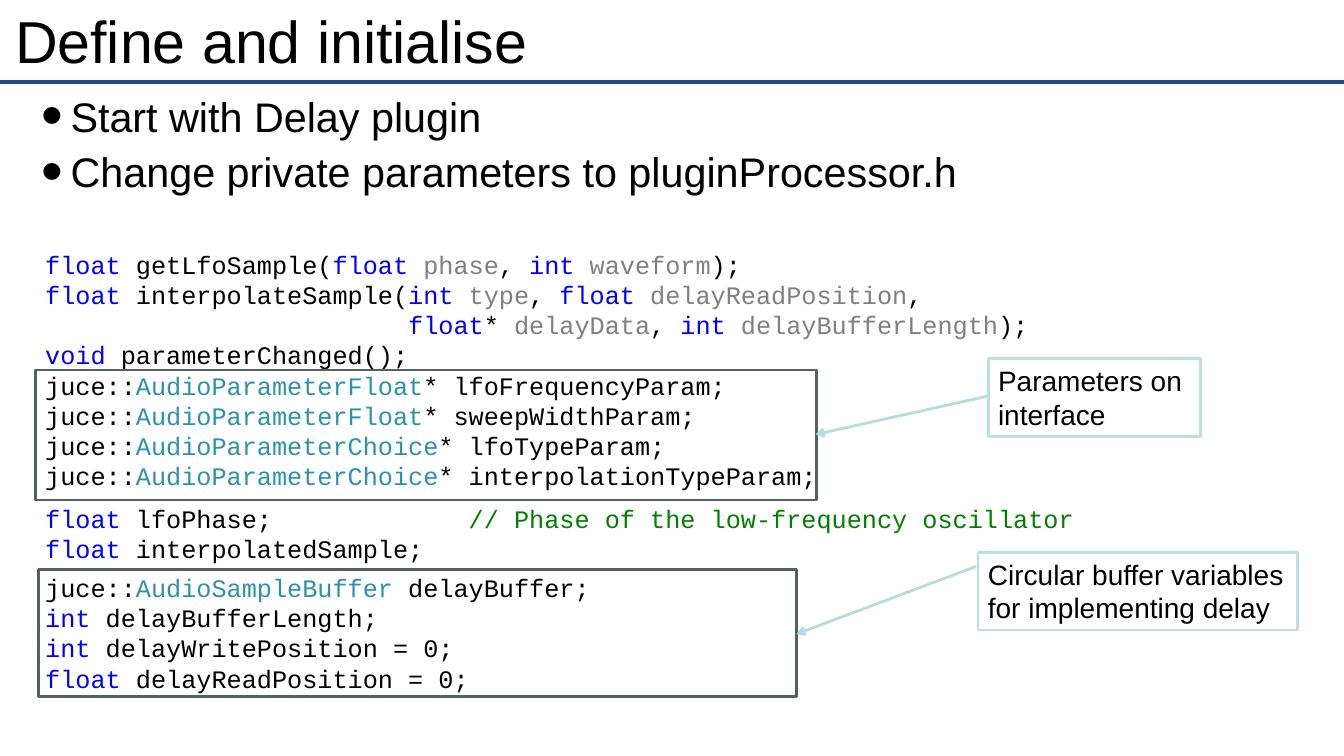
from lxml.etree import SubElement
from pptx import Presentation
from pptx.dml.color import RGBColor
from pptx.enum.shapes import MSO_CONNECTOR as Connector, MSO_SHAPE as Shape
from pptx.enum.text import MSO_ANCHOR as Anchor, MSO_AUTO_SIZE as AutoSize, PP_ALIGN as Align
from pptx.oxml.ns import qn
from pptx.util import Inches, Pt

BLACK, WHITE = "000000", "FFFFFF"
KEYWORD, TYPE, ARGUMENT, COMMENT = "0000FF", "2B91AF", "808080", "008000"
RULE, FRAME, CALLOUT, ARROW = "254789", "526263", "BBE0E3", "B6DCDF"
CHAR = 0.15  # width of one 18 pt Courier New character, in inches

FLOAT, INT = ("float ", KEYWORD), ("int ", KEYWORD)
COMMA, CLOSE, SCOPE = (", ", BLACK), (");", BLACK), ("juce::", BLACK)

# Each line: its coloured runs, then optional layout settings
CODE = [
    ([FLOAT, ("getLfoSample(", BLACK), FLOAT, ("phase", ARGUMENT), COMMA,
      INT, ("waveform", ARGUMENT), CLOSE], {}),
    ([FLOAT, ("interpolateSample(", BLACK), INT, ("type", ARGUMENT), COMMA,
      FLOAT, ("delayReadPosition", ARGUMENT), (",", BLACK)], {}),
    ([("float", KEYWORD), ("* ", BLACK), ("delayData", ARGUMENT), COMMA,
      INT, ("delayBufferLength", ARGUMENT), CLOSE], {"indent": 24}),
    ([("void ", KEYWORD), ("parameterChanged();", BLACK)], {}),
    ([SCOPE, ("AudioParameterFloat", TYPE), ("* lfoFrequencyParam;", BLACK)], {}),
    ([SCOPE, ("AudioParameterFloat", TYPE), ("* sweepWidthParam;", BLACK)], {}),
    ([SCOPE, ("AudioParameterChoice", TYPE), ("* lfoTypeParam;", BLACK)], {}),
    ([SCOPE, ("AudioParameterChoice", TYPE), ("* interpolationTypeParam;", BLACK)], {}),
    ([FLOAT, ("lfoPhase;\t", BLACK),
      ("// Phase of the low-frequency oscillator", COMMENT)], {"before": 9, "tab": 28}),
    ([FLOAT, ("interpolatedSample;", BLACK)], {"after": 6}),
    ([SCOPE, ("AudioSampleBuffer ", TYPE), ("delayBuffer;", BLACK)], {}),
    ([INT, ("delayBufferLength;", BLACK)], {}),
    ([INT, ("delayWritePosition = 0;", BLACK)], {}),
    ([FLOAT, ("delayReadPosition = 0;", BLACK)], {}),
]


def color(hex_string):
    return RGBColor.from_string(hex_string)


def add_run(paragraph, text, size, font="Arial", ink=BLACK):
    run = paragraph.add_run()
    run.text = text
    run.font.size, run.font.name = Pt(size), font
    run.font.color.rgb = color(ink)


def add_text_frame(slide, box, inset=None, anchor=Anchor.TOP):
    frame = slide.shapes.add_textbox(*map(Inches, box)).text_frame
    frame.word_wrap = True
    frame.vertical_anchor = anchor
    if inset is not None:
        frame.margin_left = frame.margin_right = Inches(inset)
        frame.margin_top = frame.margin_bottom = Inches(inset)
    return frame


def next_paragraph(frame, index):
    return frame.add_paragraph() if index else frame.paragraphs[0]


def add_bullets(slide, box, items):
    frame = add_text_frame(slide, box, inset=0.06)
    for index, item in enumerate(items):
        bullet = next_paragraph(frame, index)
        bullet.space_before = Pt(4.2 if index else 0)
        add_run(bullet, item, 29.5)
        props = bullet._p.get_or_add_pPr()
        props.set("marL", str(Inches(0.45)))
        props.set("indent", str(Inches(-0.29)))
        SubElement(props, qn("a:buSzPct"), val="150000")
        SubElement(props, qn("a:buFont"), typeface="Arial")
        SubElement(props, qn("a:buChar"), char="•")


def add_code(slide, box, lines):
    frame = add_text_frame(slide, box)
    for index, (runs, layout) in enumerate(lines):
        line = next_paragraph(frame, index)
        line.space_before = Pt(layout.get("before", 0))
        line.space_after = Pt(layout.get("after", 0))
        props = line._p.get_or_add_pPr()
        if "indent" in layout:
            props.set("marL", str(Inches(layout["indent"] * CHAR)))
        if "tab" in layout:
            stops = SubElement(props, qn("a:tabLst"))
            SubElement(stops, qn("a:tab"), pos=str(Inches(layout["tab"] * CHAR)), algn="l")
        for text, ink in runs:
            add_run(line, text, 18, "Courier New", ink)


def add_box(slide, box, outline, width, fill=None):
    rect = slide.shapes.add_shape(Shape.RECTANGLE, *map(Inches, box))
    rect.shadow.inherit = False
    rect.line.color.rgb, rect.line.width = color(outline), Pt(width)
    if fill:
        rect.fill.solid()
        rect.fill.fore_color.rgb = color(fill)
    else:
        rect.fill.background()
    return rect


def add_line(slide, start, end, ink, width, arrow=False):
    line = slide.shapes.add_connector(Connector.STRAIGHT, *map(Inches, start + end))
    line.line.color.rgb, line.line.width = color(ink), Pt(width)
    if arrow:
        SubElement(line.line._get_or_add_ln(), qn("a:headEnd"), type="arrow")
    SubElement(line._element.spPr, qn("a:effectLst"))


def add_callout(slide, box, text):
    frame = add_box(slide, box, CALLOUT, 2, WHITE).text_frame
    frame.word_wrap = True
    frame.auto_size = AutoSize.SHAPE_TO_FIT_TEXT
    frame.vertical_anchor = Anchor.TOP
    frame.paragraphs[0].alignment = Align.LEFT
    add_run(frame.paragraphs[0], text, 20)


def main():
    deck = Presentation()
    deck.slide_width, deck.slide_height = Inches(13.33), Inches(7.5)
    slide = deck.slides.add_slide(deck.slide_layouts[6])

    # Heading
    add_line(slide, (0, 0.81), (13.33, 0.81), RULE, 3)
    title = add_text_frame(slide, (0.09, 0.04, 13.14, 0.71), 0.06, Anchor.MIDDLE)
    add_run(title.paragraphs[0], "Define and initialise", 42.2)

    # Steps and code
    add_bullets(slide, (0.19, 0.84, 12.5, 1.15), [
        "Start with Delay plugin", "Change private parameters to pluginProcessor.h"])
    add_code(slide, (0.35, 2.42, 12.81, 4.56), CODE)

    # Framed code groups, each with an arrow from its callout
    for frame, tip, tail, callout, text in [
        ((0.35, 3.67, 7.75, 1.29), (8.09, 4.31), (9.93, 3.9),
         (9.8, 3.56, 2.11, 0.77), "Parameters on interface"),
        ((0.38, 5.65, 7.52, 1.26), (7.9, 6.29), (9.68, 5.62),
         (9.7, 5.48, 3.17, 0.77), "Circular buffer variables for implementing delay"),
    ]:
        add_box(slide, frame, FRAME, 1.75)
        add_line(slide, tip, tail, ARROW, 2, arrow=True)
        add_callout(slide, callout, text)

    deck.save("out.pptx")


if __name__ == "__main__":
    main()
